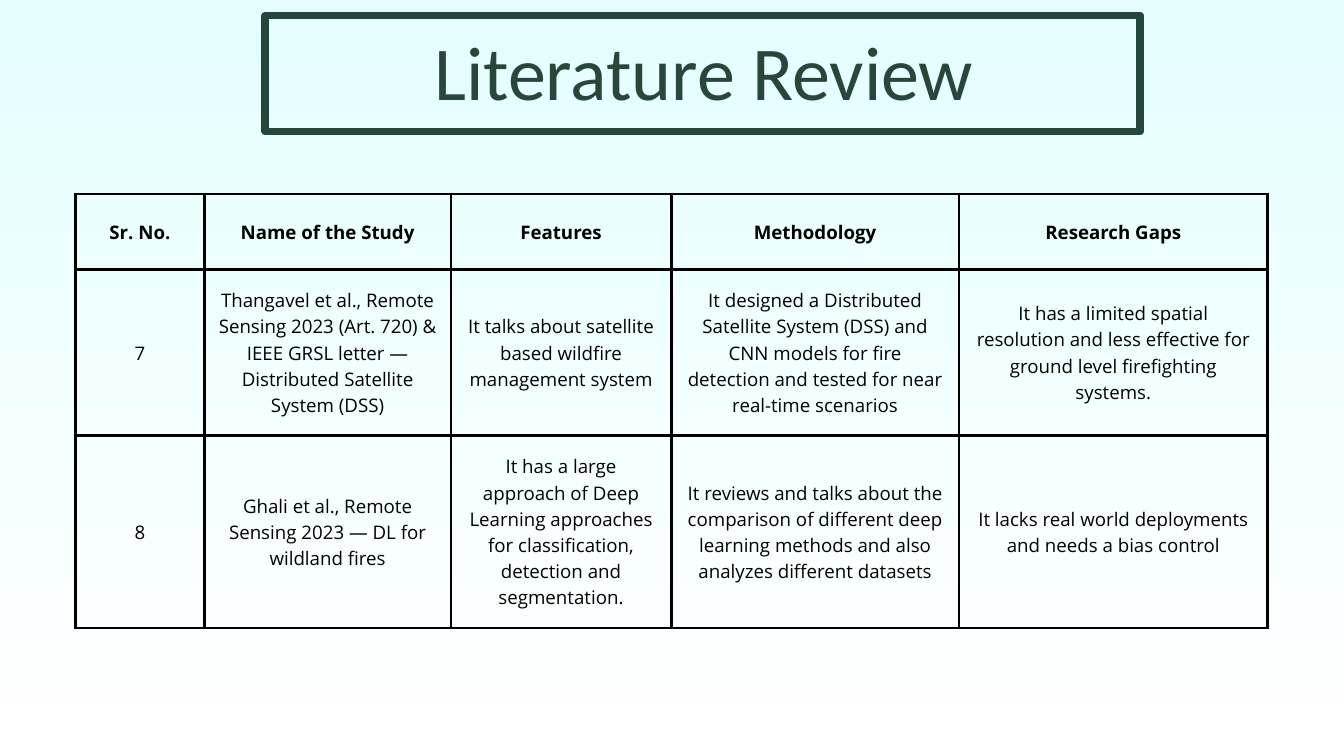
from lxml import etree
from pptx import Presentation
from pptx.dml.color import RGBColor
from pptx.enum.shapes import MSO_SHAPE
from pptx.enum.text import MSO_ANCHOR, PP_ALIGN
from pptx.oxml.ns import qn
from pptx.util import Emu, Pt

RECTANGLE = MSO_SHAPE.RECTANGLE
MIDDLE = MSO_ANCHOR.MIDDLE
CENTER = PP_ALIGN.CENTER

EMU_PER_PX = 9525  # 96 px to the inch
SLIDE_WIDTH, SLIDE_HEIGHT = 1920, 1080

SKY = RGBColor(0xE4, 0xFE, 0xFF)
WHITE = RGBColor(0xFF, 0xFF, 0xFF)
BLACK = RGBColor(0x00, 0x00, 0x00)
FRAME_GREEN = RGBColor(0x25, 0x47, 0x3B)
TITLE_GREEN = RGBColor(0x27, 0x47, 0x3A)

TITLE_FONT = "Calibri"
BODY_FONT = "Open Sans"

COLUMN_WIDTHS = (184, 352, 315, 411, 441)
ROW_HEIGHTS = (108, 237, 275)
CELL_MARGIN = 20
STUDIES = (
    ("Sr. No.", "Name of the Study", "Features", "Methodology", "Research Gaps"),
    (
        "7",
        "Thangavel et al., Remote Sensing 2023 (Art. 720) & IEEE GRSL letter — "
        "Distributed Satellite System (DSS)",
        "It talks about satellite based wildfire management system",
        "It designed a Distributed Satellite System (DSS) and CNN models for fire "
        "detection and tested for near real-time scenarios",
        "It has a limited spatial resolution and less effective for ground level "
        "firefighting systems.",
    ),
    (
        "8",
        "Ghali et al., Remote Sensing 2023 — DL for wildland fires",
        "It has a large approach of Deep Learning approaches for classification, "
        "detection and segmentation.",
        "It reviews and talks about the comparison of different deep learning "
        "methods and also analyzes different datasets",
        "It lacks real world deployments and needs a bias control",
    ),
)


def px(length):
    return Emu(length * EMU_PER_PX)


def set_background(slide):
    fill = slide.background.fill
    fill.gradient()
    fill.gradient_angle = 270  # counter-clockwise: runs from top to bottom
    for stop, color in zip(fill.gradient_stops, (SKY, WHITE)):
        stop.color.rgb = color


def write_text(text_frame, text, font_name, size, color, line_spacing, bold=False):
    text_frame.word_wrap = True
    paragraph = text_frame.paragraphs[0]
    paragraph.alignment = CENTER
    paragraph.line_spacing = Pt(line_spacing)
    run = paragraph.add_run()
    run.text = text
    run.font.name = font_name
    run.font.size = Pt(size)
    run.font.bold = bold
    run.font.color.rgb = color


def add_frame(slide, left, top, width, height):
    frame = slide.shapes.add_shape(RECTANGLE, px(left), px(top), px(width), px(height))
    frame.shadow.inherit = False
    frame.fill.background()
    frame.line.color.rgb = FRAME_GREEN
    frame.line.width = Pt(8.25)


def add_title(slide, text, left, top, width, height):
    box = slide.shapes.add_textbox(px(left), px(top), px(width), px(height))
    text_frame = box.text_frame
    text_frame.margin_left = text_frame.margin_right = 0
    text_frame.margin_top = text_frame.margin_bottom = 0
    write_text(text_frame, text, TITLE_FONT, 81.5, TITLE_GREEN, 80.7)


def set_borders(cell, color, width):
    properties = cell._tc.get_or_add_tcPr()
    for side in ("a:lnL", "a:lnR", "a:lnT", "a:lnB"):
        line = etree.SubElement(properties, qn(side), w=str(Pt(width)))
        solid = etree.SubElement(line, qn("a:solidFill"))
        etree.SubElement(solid, qn("a:srgbClr"), val=str(color))


def format_cell(cell, text, bold):
    cell.margin_left = cell.margin_right = px(CELL_MARGIN)
    cell.margin_top = cell.margin_bottom = px(CELL_MARGIN)
    cell.vertical_anchor = MIDDLE
    set_borders(cell, BLACK, 3)
    cell.fill.background()
    write_text(cell.text_frame, text, BODY_FONT, 20, BLACK, 28, bold)


def add_study_table(slide, left, top):
    table = slide.shapes.add_table(
        len(ROW_HEIGHTS), len(COLUMN_WIDTHS), px(left), px(top),
        px(sum(COLUMN_WIDTHS)), px(sum(ROW_HEIGHTS)),
    ).table
    table.first_row = table.horz_banding = False
    for column, width in zip(table.columns, COLUMN_WIDTHS):
        column.width = px(width)
    for row_index, (row, height) in enumerate(zip(table.rows, ROW_HEIGHTS)):
        row.height = px(height)
        for cell, text in zip(row.cells, STUDIES[row_index]):
            format_cell(cell, text, bold=row_index == 0)


def main():
    presentation = Presentation()
    presentation.slide_width = px(SLIDE_WIDTH)
    presentation.slide_height = px(SLIDE_HEIGHT)
    slide = presentation.slides.add_slide(presentation.slide_layouts[6])

    set_background(slide)

    # Framed heading
    add_frame(slide, 379, 22, 1250, 166)
    add_title(slide, "Literature Review", 383, 58, 1245, 113)

    # Reviewed studies
    add_study_table(slide, 108, 277)

    presentation.save("out.pptx")


if __name__ == "__main__":
    main()
